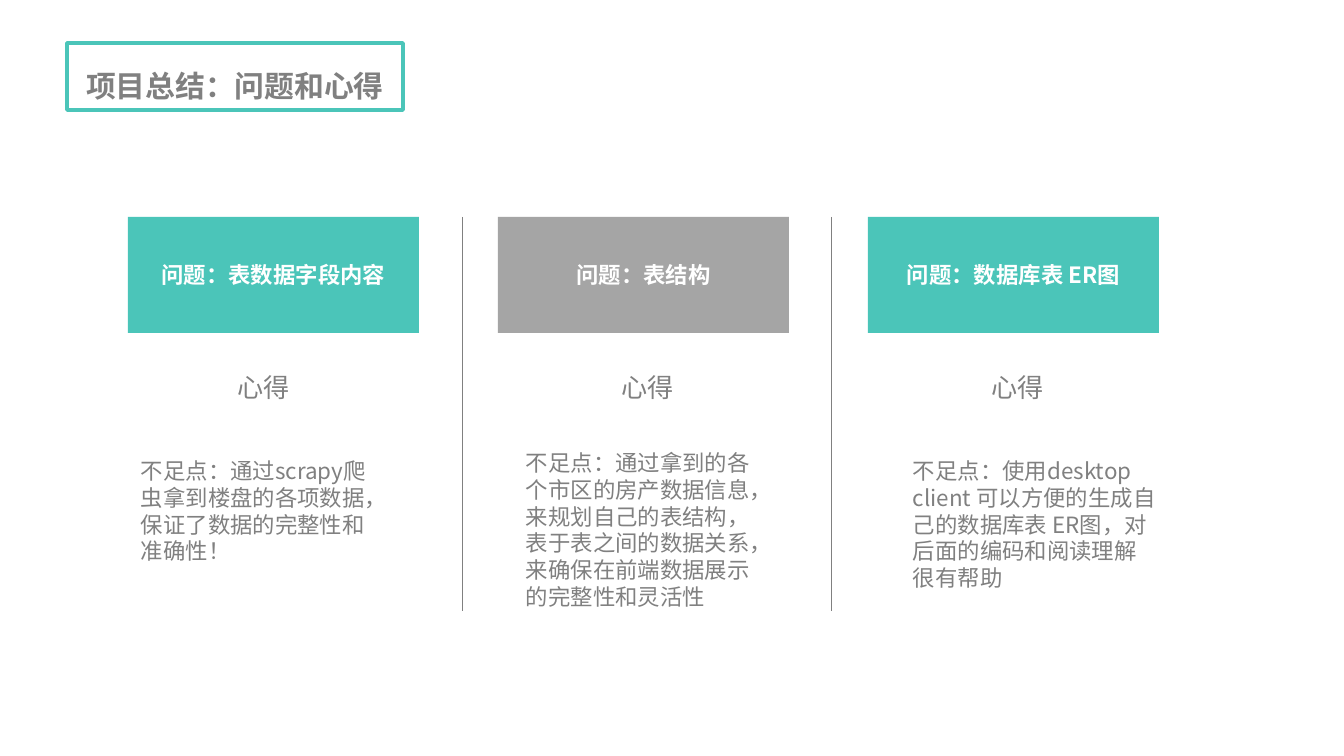
from dataclasses import dataclass

import pptx
import pptx.dml.color
import pptx.enum.shapes
import pptx.enum.text
import pptx.oxml.ns
import pptx.util
from lxml import etree

RGBColor = pptx.dml.color.RGBColor
TEAL = RGBColor(0x4B, 0xC5, 0xB9)
SILVER = RGBColor(0xA5, 0xA5, 0xA5)
GRAY = RGBColor(0x80, 0x80, 0x80)
WHITE = RGBColor(0xFF, 0xFF, 0xFF)

FONT = "Noto Sans CJK SC"
ALIGN = pptx.enum.text.PP_ALIGN
ANCHOR = pptx.enum.text.MSO_ANCHOR
EMU_PER_PX = 9144000 / 1344

HEADER_LEFT, HEADER_TOP, HEADER_W, HEADER_H = 128, 217, 291, 116
PITCH = 370
DIVIDER_LEFT, DIVIDER_BOTTOM = 462, 611


@dataclass(frozen=True)
class Box:
    x: int
    y: int
    w: int
    h: int


@dataclass(frozen=True)
class Style:
    size: int
    color: RGBColor = GRAY
    bold: bool = False
    align: ALIGN = ALIGN.CENTER
    anchor: ANCHOR = ANCHOR.MIDDLE
    margins: tuple = (9, 5, 9, 5)  # left, top, right, bottom
    spacing: float = 1.0


@dataclass(frozen=True)
class Column:
    header: str
    fill: RGBColor
    label_x: int
    body: Box
    text: str


TITLE = Style(16, bold=True, margins=(13, 7, 13, 7), spacing=1.5)
HEADER = Style(12, WHITE, bold=True)
LABEL = Style(14, anchor=ANCHOR.TOP, margins=(9, 23, 9, 5))
BODY = Style(12, align=ALIGN.LEFT, anchor=ANCHOR.TOP, margins=(13, 7, 13, 7))

COLUMNS = [
    Column("问题：表数据字段内容", TEAL, 160, Box(128, 450, 269, 122),
           "不足点：通过scrapy爬虫拿到楼盘的各项数据，保证了数据的完整性和准确性！"),
    Column("问题：表结构", SILVER, 544, Box(513, 442, 269, 176),
           "不足点：通过拿到的各个市区的房产数据信息，来规划自己的表结构，"
           "表于表之间的数据关系，来确保在前端数据展示的完整性和灵活性"),
    Column("问题：数据库表 ER图", TEAL, 914, Box(900, 450, 269, 149),
           "不足点：使用desktop client 可以方便的生成自己的数据库表 ER图，"
           "对后面的编码和阅读理解很有帮助"),
]


def px(n: int) -> pptx.util.Emu:
    return pptx.util.Emu(round(n * EMU_PER_PX))


def edges(box: Box) -> tuple:
    return px(box.x), px(box.y), px(box.w), px(box.h)


def set_attrs(obj, values: dict) -> None:
    for name, value in values.items():
        setattr(obj, name, value)


def write(sp, text: str, style: Style) -> None:
    tf = sp.text_frame
    left, top, right, bottom = map(px, style.margins)
    set_attrs(tf, {"word_wrap": True, "vertical_anchor": style.anchor,
                   "auto_size": pptx.enum.text.MSO_AUTO_SIZE.NONE,
                   "margin_left": left, "margin_top": top,
                   "margin_right": right, "margin_bottom": bottom})
    p = tf.paragraphs[0]
    set_attrs(p, {"alignment": style.align, "line_spacing": style.spacing})
    r = p.add_run()
    r.text = text
    set_attrs(r.font, {"name": FONT, "size": pptx.util.Pt(style.size),
                       "bold": style.bold})
    r.font.color.rgb = style.color
    # East Asian typeface
    ea = etree.SubElement(r.font._element, pptx.oxml.ns.qn("a:ea"))
    ea.set("typeface", FONT)


def add_title(s, box: Box, text: str) -> None:
    sp = s.shapes.title
    set_attrs(sp, dict(zip(("left", "top", "width", "height"), edges(box))))
    sp.fill.solid()
    sp.fill.fore_color.rgb = WHITE
    sp.line.color.rgb = TEAL
    sp.line.width = pptx.util.Pt(2)
    write(sp, text, TITLE)


def add_header(s, box: Box, text: str, fill: RGBColor) -> None:
    sp = s.shapes.add_shape(pptx.enum.shapes.MSO_SHAPE.RECTANGLE, *edges(box))
    sp.shadow.inherit = False
    sp.fill.solid()
    sp.fill.fore_color.rgb = fill
    sp.line.fill.background()
    write(sp, text, HEADER)


def add_text(s, box: Box, text: str, style: Style) -> None:
    write(s.shapes.add_textbox(*edges(box)), text, style)


def add_divider(s, x: int) -> None:
    line = s.shapes.add_connector(pptx.enum.shapes.MSO_CONNECTOR.STRAIGHT,
                                  px(x), px(HEADER_TOP), px(x), px(DIVIDER_BOTTOM))
    line.line.color.rgb = GRAY
    line.line.width = pptx.util.Pt(0.25)
    etree.SubElement(line._element.spPr, pptx.oxml.ns.qn("a:effectLst"))


def main() -> None:
    prs = pptx.Presentation()
    prs.slide_width, prs.slide_height = px(1344), px(756)
    s = prs.slides.add_slide(prs.slide_layouts[5])

    add_title(s, Box(67, 43, 336, 67), "项目总结：问题和心得")

    # Lines between the columns
    for i in range(len(COLUMNS) - 1):
        add_divider(s, DIVIDER_LEFT + i * (PITCH - 1))

    # Columns: problem, label, reflection
    for i, col in enumerate(COLUMNS):
        header = Box(HEADER_LEFT + i * PITCH, HEADER_TOP, HEADER_W, HEADER_H)
        add_header(s, header, col.header, col.fill)
        add_text(s, Box(col.label_x, 348, 208, 60), "心得", LABEL)
        add_text(s, col.body, col.text, BODY)

    prs.save("out.pptx")


if __name__ == "__main__":
    main()
